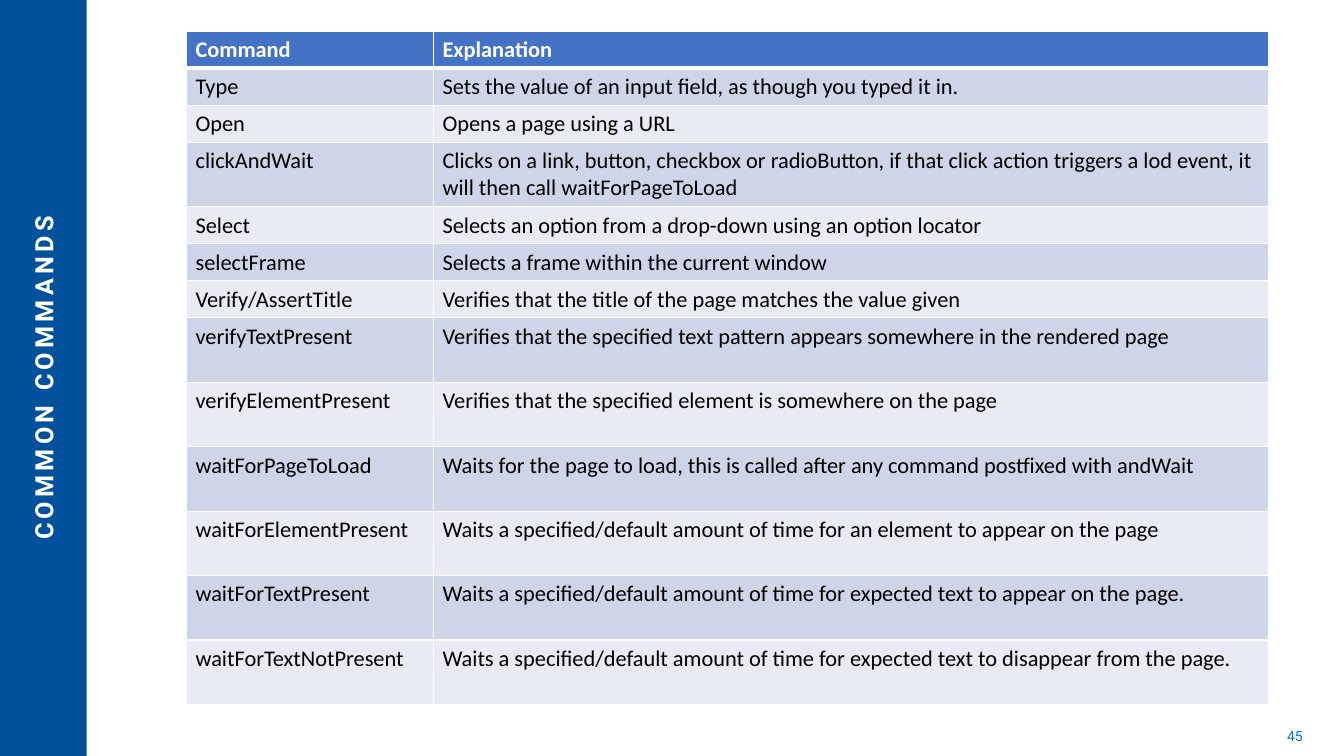
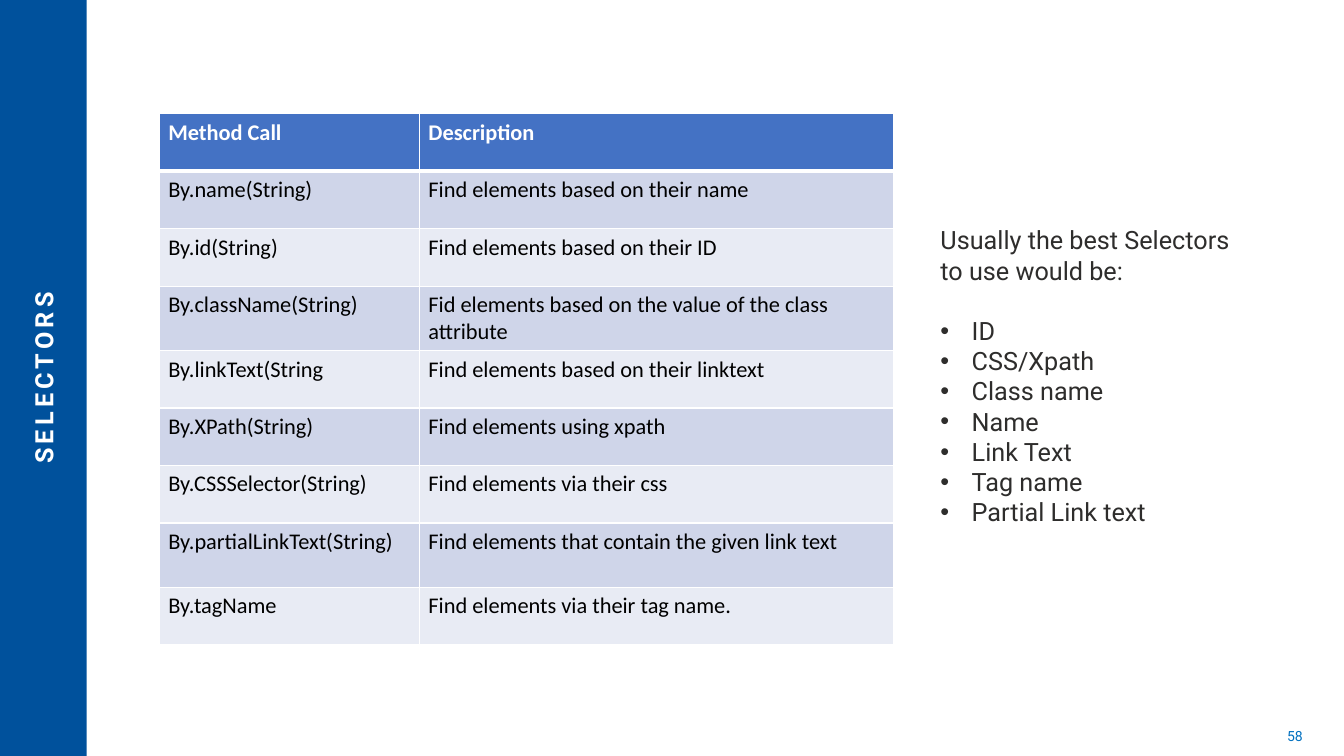
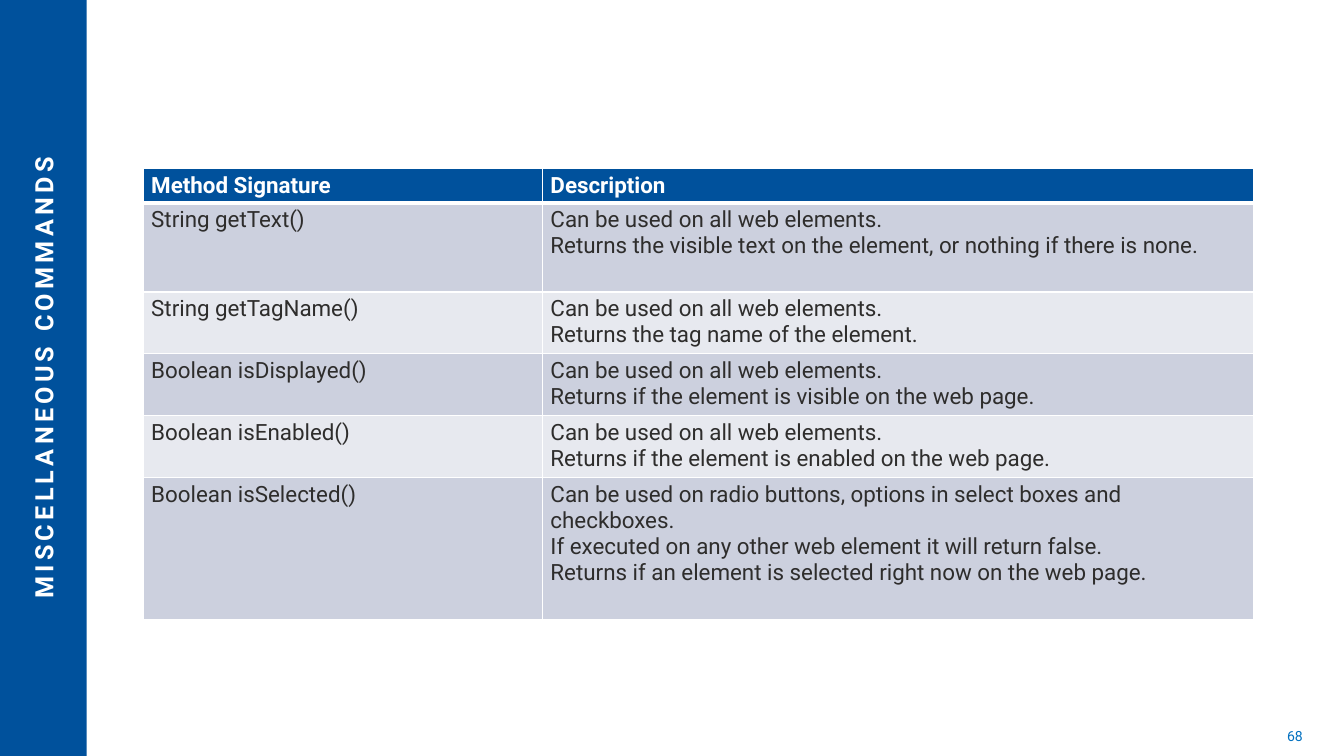
from dataclasses import dataclass

from lxml.etree import SubElement
from pptx import Presentation
from pptx.dml.color import RGBColor
from pptx.enum.shapes import MSO_SHAPE as Preset
from pptx.enum.text import MSO_ANCHOR as Anchor, PP_ALIGN as Align
from pptx.oxml import parse_xml
from pptx.oxml.ns import nsdecls, qn
from pptx.slide import Slide
from pptx.table import _Cell as Cell
from pptx.text.text import TextFrame, _Paragraph as Paragraph
from pptx.util import Inches, Pt

BRAND, WHITE, BLACK = "00519C", "FFFFFF", "000000"
INK, NUMBER_BLUE = "2E2D2C", "0070C0"
BODY_FONT, TABLE_FONT = "Roboto", "Calibri"
TABLE_SIZE, TITLE_SIZE, NUMBER_SIZE = 16, 18, 10
THIN, THICK = 0.96, 3


@dataclass(frozen=True)
class TableStyle:
    font: str
    ink: str
    header: str
    bands: tuple[str, str]
    inset_x: float
    inset_y: float


@dataclass(frozen=True)
class Row:
    height: float
    name: str
    detail: str


@dataclass(frozen=True)
class TablePage:
    title: str
    number: int
    left: float
    top: float
    widths: tuple[float, float]
    style: TableStyle
    rows: tuple[Row, ...]
    advice: str = ""
    choices: tuple[str, ...] = ()


OFFICE = TableStyle(TABLE_FONT, BLACK, "4472C4", ("CFD5E9", "E8EBF4"), 0.09, 0.05)
BRANDED = TableStyle(BODY_FONT, INK, BRAND, ("CCD0DE", "E7E9EF"), 0.08, 0.04)

ANY_ELEMENT = "Can be used on all web elements."

PAGES = (
    TablePage(
        "COMMON COMMANDS", 45, 1.85, 0.31, (2.45, 8.28), OFFICE,
        (
            Row(0.36, "Command", "Explanation"),
            Row(0.36, "Type", "Sets the value of an input field, as though you typed it in."),
            Row(0.36, "Open", "Opens a page using a URL"),
            Row(0.64, "clickAndWait",
                "Clicks on a link, button, checkbox or radioButton, if that click action "
                "triggers a lod event, it will then call waitForPageToLoad"),
            Row(0.36, "Select", "Selects an option from a drop-down using an option locator"),
            Row(0.36, "selectFrame", "Selects a frame within the current window"),
            Row(0.36, "Verify/AssertTitle",
                "Verifies that the title of the page matches the value given"),
            Row(0.64, "verifyTextPresent",
                "Verifies that the specified text pattern appears somewhere in the rendered page"),
            Row(0.64, "verifyElementPresent",
                "Verifies that the specified element is somewhere on the page"),
            Row(0.64, "waitForPageToLoad",
                "Waits for the page to load, this is called after any command postfixed with andWait"),
            Row(0.64, "waitForElementPresent",
                "Waits a specified/default amount of time for an element to appear on the page"),
            Row(0.64, "waitForTextPresent",
                "Waits a specified/default amount of time for expected text to appear on the page."),
            Row(0.64, "waitForTextNotPresent",
                "Waits a specified/default amount of time for expected text to disappear from the page."),
        ),
    ),
    TablePage(
        "SELECTORS", 58, 1.58, 1.13, (2.58, 4.7), OFFICE,
        (
            Row(0.57, "Method Call", "Description"),
            Row(0.57, "By.name(String)", "Find elements based on their name"),
            Row(0.57, "By.id(String)", "Find elements based on their ID"),
            Row(0.64, "By.className(String)",
                "Fid elements based on the value of the class attribute"),
            Row(0.57, "By.linkText(String", "Find elements based on their linktext"),
            Row(0.57, "By.XPath(String)", "Find elements using xpath"),
            Row(0.57, "By.CSSSelector(String)", "Find elements via their css"),
            Row(0.64, "By.partialLinkText(String)",
                "Find elements that contain the given link text"),
            Row(0.57, "By.tagName", "Find elements via their tag name."),
        ),
        "Usually the best Selectors to use would be:",
        ("ID", "CSS/Xpath", "Class name", "Name", "Link Text", "Tag name", "Partial Link text"),
    ),
    TablePage(
        "MISCELLANEOUS COMMANDS", 68, 1.42, 1.67, (3.96, 7.05), BRANDED,
        (
            Row(0.34, "Method Signature", "Description"),
            Row(0.88, "String getText()",
                f"{ANY_ELEMENT}\n"
                "Returns the visible text on the element, or nothing if there is none."),
            Row(0.61, "String getTagName()",
                f"{ANY_ELEMENT}\nReturns the tag name of the element."),
            Row(0.61, "Boolean isDisplayed()",
                f"{ANY_ELEMENT}\nReturns if the element is visible on the web page."),
            Row(0.61, "Boolean isEnabled()",
                f"{ANY_ELEMENT}\nReturns if the element is enabled on the web page."),
            Row(1.41, "Boolean isSelected()",
                "Can be used on radio buttons, options in select boxes and checkboxes.\n"
                "If executed on any other web element it will return false.\n"
                "Returns if an element is selected right now on the web page."),
        ),
    ),
)


def color(value: str) -> RGBColor:
    return RGBColor.from_string(value)


def format_text(frame: TextFrame, font: str, size: float, ink: str,
                bold: bool = False, align: Align = Align.LEFT) -> None:
    for para in frame.paragraphs:
        para.alignment = align
        for span in para.runs:
            span.font.name = font
            span.font.size = Pt(size)
            span.font.color.rgb = color(ink)
            span.font.bold = bold


def add_text(page: Slide, text: str, left: float, top: float, width: float,
             height: float, anchor: Anchor = Anchor.TOP):
    box = page.shapes.add_textbox(Inches(left), Inches(top), Inches(width), Inches(height))
    box.text_frame.word_wrap = True
    box.text_frame.vertical_anchor = anchor
    box.text_frame.text = text
    return box


def add_frame(page: Slide, title: str, number: int) -> None:
    band = page.shapes.add_shape(Preset.RECTANGLE, 0, 0, Inches(0.86), Inches(7.52))
    band.shadow.inherit = False
    band.fill.solid()
    band.fill.fore_color.rgb = color(BRAND)
    band.line.fill.background()

    number_box = add_text(page, str(number), 9.91, 7.1, 3.11, 0.4, Anchor.MIDDLE)
    format_text(number_box.text_frame, BODY_FONT, NUMBER_SIZE, NUMBER_BLUE, align=Align.RIGHT)

    title_box = add_text(page, title, -3.41, 3.59, 7.68, 0.32, Anchor.MIDDLE)
    title_box.rotation = 270
    format_text(title_box.text_frame, BODY_FONT, TITLE_SIZE, WHITE, True, Align.CENTER)
    for span in title_box.text_frame.paragraphs[0].runs:
        span._r.get_or_add_rPr().set("spc", "300")


def set_borders(cell: Cell, top: float, bottom: float) -> None:
    properties = cell._tc.get_or_add_tcPr()
    sides = (("lnL", THIN), ("lnR", THIN), ("lnT", top), ("lnB", bottom))
    for position, (side, width) in enumerate(sides):
        properties.insert(position, parse_xml(
            f'<a:{side} {nsdecls("a")} w="{Pt(width)}"><a:solidFill>'
            f'<a:srgbClr val="{WHITE}"/></a:solidFill></a:{side}>'))


def fill_cell(cell: Cell, text: str, row_index: int, style: TableStyle) -> None:
    is_header = row_index == 0
    cell.margin_left = cell.margin_right = Inches(style.inset_x)
    cell.margin_top = cell.margin_bottom = Inches(style.inset_y)
    cell.text_frame.text = text
    format_text(cell.text_frame, style.font, TABLE_SIZE,
                WHITE if is_header else style.ink, is_header)
    cell.fill.solid()
    cell.fill.fore_color.rgb = color(
        style.header if is_header else style.bands[(row_index - 1) % 2])
    set_borders(cell, THICK if row_index == 1 else THIN, THICK if is_header else THIN)


def add_command_table(page: Slide, content: TablePage) -> None:
    height = sum(row.height for row in content.rows)
    table = page.shapes.add_table(
        len(content.rows), len(content.widths), Inches(content.left), Inches(content.top),
        Inches(sum(content.widths)), Inches(height)).table
    for column, width in zip(table.columns, content.widths):
        column.width = Inches(width)
    for row_index, row in enumerate(content.rows):
        table.rows[row_index].height = Inches(row.height)
        for column_index, text in enumerate((row.name, row.detail)):
            fill_cell(table.cell(row_index, column_index), text, row_index, content.style)


def add_bullet(para: Paragraph) -> None:
    properties = para._p.get_or_add_pPr()
    properties.set("marL", str(Inches(0.31)))
    properties.set("indent", str(-Inches(0.31)))
    SubElement(properties, qn("a:buFont"), typeface="Arial")
    SubElement(properties, qn("a:buChar"), char="•")


def add_advice(page: Slide, advice: str, choices: tuple[str, ...]) -> None:
    box = add_text(page, "\n".join((advice, *choices)), 9.23, 2.18, 3.2, 3.13)
    format_text(box.text_frame, BODY_FONT, 18, INK)
    bullets = box.text_frame.paragraphs[1:]
    bullets[0].space_before = Pt(21.5)
    for para in bullets:
        add_bullet(para)


def main() -> None:
    deck = Presentation()
    deck.slide_width, deck.slide_height = Inches(13.33), Inches(7.5)
    blank = deck.slide_layouts[6]
    for content in PAGES:
        page = deck.slides.add_slide(blank)
        add_frame(page, content.title, content.number)
        add_command_table(page, content)
        if content.choices:
            add_advice(page, content.advice, content.choices)
    deck.save("out.pptx")


if __name__ == "__main__":
    main()
